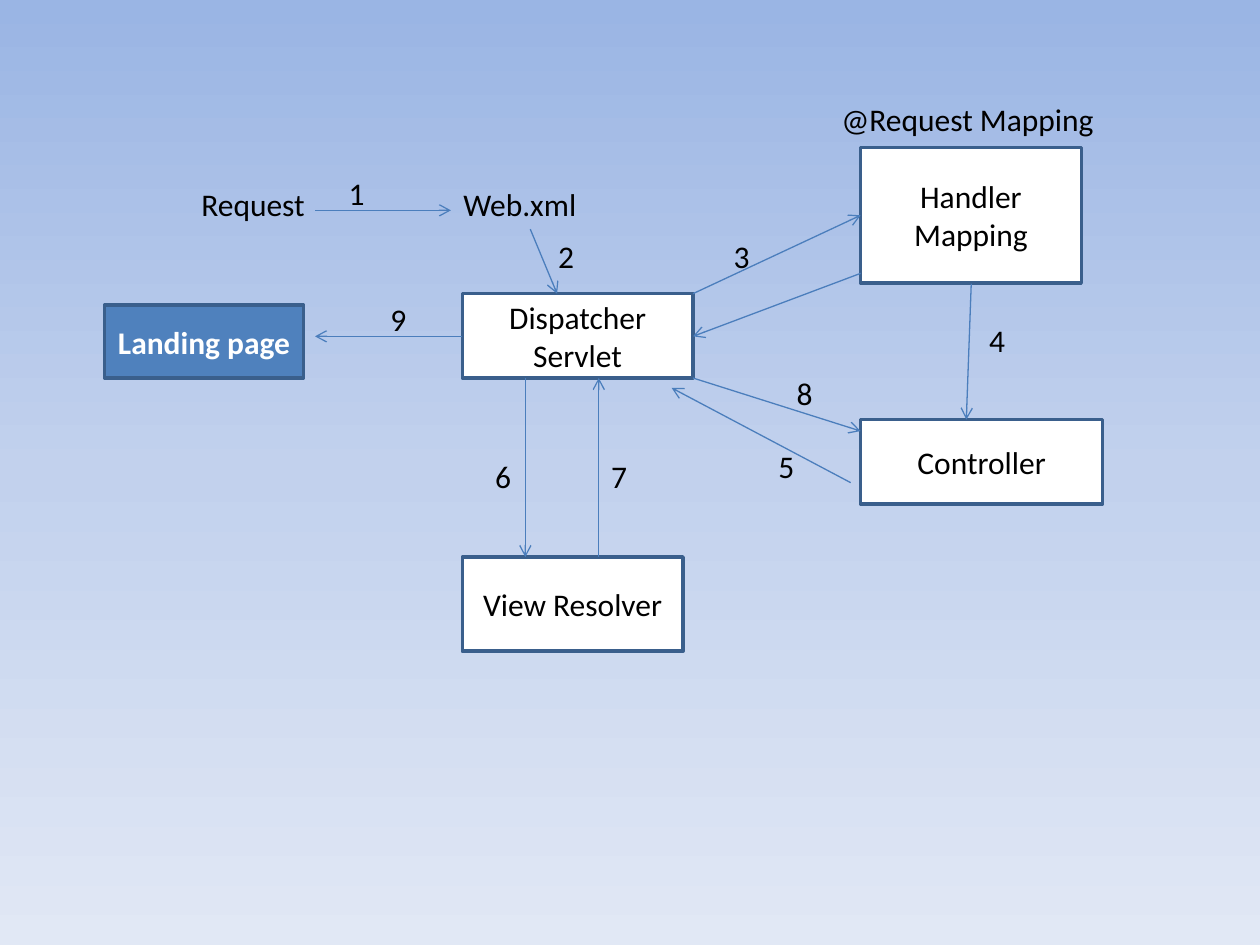
"""Builds a slide that shows how a web request flows through an MVC framework."""
from copy import deepcopy

from lxml.etree import SubElement
from pptx import Presentation
from pptx.dml.color import RGBColor
from pptx.enum.shapes import MSO_CONNECTOR, MSO_SHAPE
from pptx.enum.text import MSO_ANCHOR, PP_ALIGN
from pptx.oxml.ns import qn
from pptx.util import Cm, Pt

BLACK = RGBColor(0x00, 0x00, 0x00)
WHITE = RGBColor(0xFF, 0xFF, 0xFF)
BLUE = RGBColor(0x4F, 0x81, 0xBD)
BORDER = RGBColor(0x3A, 0x5F, 0x8C)
ARROW = RGBColor(0x4B, 0x7E, 0xBC)
SKY = (
    (0, RGBColor(0x9A, 0xB5, 0xE4)),
    (0.5, RGBColor(0xC2, 0xD1, 0xED)),
    (1, RGBColor(0xE1, 0xE8, 0xF5)),
)
LABEL_HEIGHT = 1.02

LABELS = (
    ("Request", 3.81, 3.61, 2.97),
    ("Web.xml", 9.09, 3.61, 3.18),
    ("@Request Mapping", 16.71, 1.9, 5.72),
)
STEPS = (
    (6.78, 3.38, 0.84),
    (11, 4.65, 0.84),
    (14.61, 4.65, 0.43),
    (19.69, 6.35, 0.84),
    (15.44, 8.89, 0.64),
    (9.73, 9.09, 1.04),
    (12.07, 9.09, 0.84),
    (15.88, 7.42, 0.43),
    (7.62, 5.92, 0.84),
)
COMPONENTS = (
    ("Dispatcher Servlet", 9.32, 5.92, 4.65, 1.7),
    ("Handler Mapping", 17.35, 2.97, 4.45, 2.74),
    ("Controller", 17.35, 8.46, 4.88, 1.7),
    ("View Resolver", 9.32, 11.23, 4.45, 1.9),
)
ARROWS = (
    (6.35, 4.24, 9.09, 4.24),
    (10.69, 4.62, 11.23, 5.92),
    (13.97, 5.92, 17.35, 4.34),
    (17.35, 5.51, 13.97, 6.78),
    (19.58, 5.72, 19.48, 8.46),
    (17.15, 9.73, 13.54, 7.82),
    (10.59, 7.62, 10.59, 11.23),
    (12.07, 11.23, 12.07, 7.62),
    (13.97, 7.62, 17.35, 8.69),
    (9.32, 6.78, 6.35, 6.78),
)


def paint_background(page):
    """Fill the page with the vertical three-colour gradient."""
    fill = page.background.fill
    fill.gradient()
    fill.gradient_angle = 270
    first = page.element.find(".//" + qn("a:gs"))
    first.addnext(deepcopy(first))
    for stop, (position, color) in zip(fill.gradient_stops, SKY):
        stop.position = position
        stop.color.rgb = color


def write(shape, text, color=BLACK, bold=None):
    """Write one run into the shape and return its paragraph."""
    shape.text_frame.word_wrap = True
    para = shape.text_frame.paragraphs[0]
    span = para.add_run()
    span.text = text
    span.font.name = "Calibri"
    span.font.size = Pt(18)
    span.font.bold = bold
    span.font.color.rgb = color
    return para


def add_label(page, text, left, top, width):
    """Add a line of free text."""
    box = page.shapes.add_textbox(Cm(left), Cm(top), Cm(width), Cm(LABEL_HEIGHT))
    write(box, text)


def add_component(page, text, left, top, width, height,
                  fill=WHITE, color=BLACK, bold=None):
    """Add a bordered rectangle with centred text."""
    box = page.shapes.add_shape(
        MSO_SHAPE.RECTANGLE, Cm(left), Cm(top), Cm(width), Cm(height))
    box.shadow.inherit = False
    box.fill.solid()
    box.fill.fore_color.rgb = fill
    box.line.color.rgb = BORDER
    box.line.width = Pt(2)
    box.text_frame.vertical_anchor = MSO_ANCHOR.MIDDLE
    write(box, text, color, bold).alignment = PP_ALIGN.CENTER


def add_arrow(page, *ends):
    """Add a thin arrow that points at its second end."""
    arrow = page.shapes.add_connector(
        MSO_CONNECTOR.STRAIGHT, *(Cm(value) for value in ends))
    arrow.line.color.rgb = ARROW
    arrow.line.width = Pt(0.75)
    SubElement(arrow.line._get_or_add_ln(), qn("a:tailEnd"), type="arrow")
    SubElement(arrow.element.spPr, qn("a:effectLst"))


def main():
    """Build the slide and save the deck."""
    deck = Presentation()
    deck.slide_width, deck.slide_height = Cm(25.4), Cm(19.05)
    page = deck.slides.add_slide(deck.slide_layouts[6])
    paint_background(page)
    for component in COMPONENTS:
        add_component(page, *component)
    add_component(page, "Landing page", 2.11, 6.15, 4.01, 1.47, BLUE, WHITE, True)
    for ends in ARROWS:
        add_arrow(page, *ends)
    for label in LABELS:
        add_label(page, *label)
    for number, place in enumerate(STEPS, start=1):
        add_label(page, str(number), *place)
    deck.save("out.pptx")


if __name__ == "__main__":
    main()
